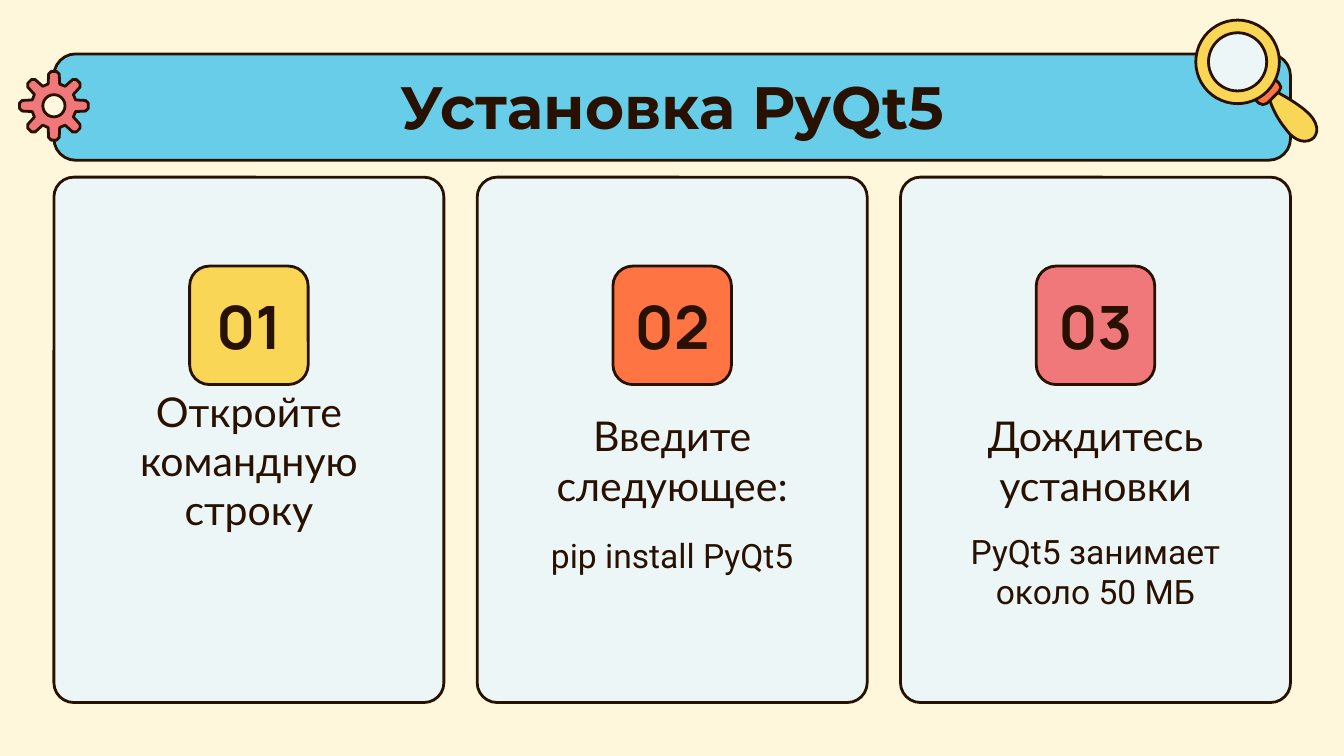
from math import cos, pi, sin

from lxml.etree import SubElement
from pptx import Presentation
from pptx.dml.color import RGBColor
from pptx.enum.shapes import MSO_SHAPE as Shape
from pptx.enum.text import MSO_ANCHOR as Anchor, MSO_AUTO_SIZE as AutoSize, PP_ALIGN as Align
from pptx.util import Cm, Pt

INK, CREAM, SKY, ICE = "281101", "FFF7DC", "68CDE9", "EDF6F7"
YELLOW, ORANGE, PINK = "F9D656", "FE7443", "F0787A"

FRAME = {"word_wrap": True, "auto_size": AutoSize.NONE,
         "margin_left": Cm(0.25), "margin_right": Cm(0.25),
         "margin_top": Cm(0.25), "margin_bottom": Cm(0.25)}
TITLE = {"name": "Montserrat", "size": Pt(32), "bold": True}
NUMBER = {"name": "Manrope", "size": Pt(32), "bold": True}
HEADING = {"name": "Lato", "size": Pt(22), "bold": False}
NOTE = {"name": "Roboto", "size": Pt(18), "bold": False}

STEPS = [  # number, badge colour, heading, heading width, note, note top
    ("01", YELLOW, "Откройте командную строку", 6.91, None, None),
    ("02", ORANGE, "Введите следующее:", 5.44, "pip install PyQt5", 6.12),
    ("03", PINK, "Дождитесь установки", 5.44, "PyQt5 занимает около 50 МБ", 6.43),
]

# Magnifier parts in cm from the icon corner; the handle is a chain of Bézier curves
COLLAR = [(1.5, 1.12), (1.12, 1.5), (1.19, 1.57), (1.27, 1.6),
          (1.35, 1.57), (1.57, 1.35), (1.61, 1.27), (1.57, 1.19)]
HANDLE_START = (1.55, 1.37)
HANDLE_CURVES = [
    [(1.4, 1.52), (1.47, 1.73), (1.57, 1.9), (1.7, 2.06)],
    [(1.7, 2.06), (1.83, 2.24), (1.96, 2.29), (2.06, 2.29)],
    [(2.06, 2.29), (2.31, 2.29), (2.41, 1.98), (2.06, 1.7)],
    [(2.06, 1.7), (1.9, 1.57), (1.73, 1.47), HANDLE_START],
]
# Gear tooth pointing outwards: (across, distance from centre) in cm
TOOTH = [(-0.11, 0.41), (-0.1, 0.6), (-0.05, 0.65),
         (0.05, 0.65), (0.1, 0.6), (0.11, 0.41)]


def colour(value):
    return RGBColor.from_string(value)


def apply(target, values):
    for key, value in values.items():
        setattr(target, key, value)


def paint(shape, fill):
    shape.shadow.inherit = False
    shape.fill.solid()
    shape.fill.fore_color.rgb = colour(fill)
    shape.line.color.rgb = colour(INK)
    shape.line.width = Pt(1.5)
    return shape


def add_panel(slide, kind, box, fill, corner=None):
    panel = paint(slide.shapes.add_shape(kind, *map(Cm, box)), fill)
    if corner is not None:
        panel.adjustments[0] = corner
    return panel


def add_outline(slide, left, top, points, fill):
    placed = [(Cm(left + x), Cm(top + y)) for x, y in points]
    builder = slide.shapes.build_freeform(*placed[0])
    builder.add_line_segments(placed[1:], close=True)
    return paint(builder.convert_to_shape(), fill)


def write(shape, text, font, anchor=Anchor.MIDDLE):
    frame = shape.text_frame
    apply(frame, {**FRAME, "vertical_anchor": anchor})
    paragraph = frame.paragraphs[0]
    paragraph.alignment = Align.CENTER
    run = paragraph.add_run()
    run.text = text
    apply(run.font, font)
    run.font.color.rgb = colour(INK)


def add_text(slide, box, text, font):
    write(slide.shapes.add_textbox(*map(Cm, box)), text, font)


def curve_points(curve, steps=10):
    for i in range(steps + 1):
        t = i / steps
        weights = ((1 - t) ** 3, 3 * t * (1 - t) ** 2, 3 * t * t * (1 - t), t ** 3)
        yield tuple(sum(w * p[axis] for w, p in zip(weights, curve)) for axis in (0, 1))


def add_header(slide, left, top, width, height):
    add_panel(slide, Shape.ROUNDED_RECTANGLE, (left, top, width, height), SKY, 0.204)
    title = slide.shapes.title
    slide.shapes.element.append(title.element)  # bring the title above the banner
    apply(title, {"left": Cm(left + 0.98), "top": Cm(top + 0.05),
                  "width": Cm(width - 1.96), "height": Cm(1.65)})
    write(title, "Установка PyQt5", TITLE, Anchor.TOP)


def add_magnifier(slide, left, top, lens):
    handle = [HANDLE_START] + [p for curve in HANDLE_CURVES for p in curve_points(curve)]
    add_outline(slide, left, top, handle, YELLOW)
    add_outline(slide, left, top, COLLAR, ORANGE)
    rim = 0.24
    for inset, fill in ((0, YELLOW), (rim, ICE)):
        size = lens - 2 * inset
        add_panel(slide, Shape.OVAL, (left + inset, top + inset, size, size), fill)


def add_gear(slide, left, top, size):
    teeth, half, hole = 8, size / 2, 0.42
    rim = []
    for i in range(teeth):
        angle = 2 * pi * i / teeth
        rim += [(half + x * cos(angle) + r * sin(angle),
                 half + x * sin(angle) - r * cos(angle)) for x, r in TOOTH]
    add_outline(slide, left, top, rim, PINK)
    offset = half - hole / 2
    add_panel(slide, Shape.OVAL, (left + offset, top + offset, hole, hole), CREAM)


def add_step(slide, left, top, width, height, step):
    number, fill, heading, heading_width, note, note_top = step
    add_panel(slide, Shape.ROUNDED_RECTANGLE, (left, top, width, height), ICE, 0.051)
    # Numbered badge
    side = 2.24
    badge = add_panel(slide, Shape.ROUNDED_RECTANGLE,
                      (left + (width - side) / 2, top + 1.68, side, side), fill, 0.167)
    write(badge, number, NUMBER)
    # Heading and note
    text_left = left + (width - heading_width) / 2
    add_text(slide, (text_left, top + 4.42, heading_width, 1.85), heading, HEADING)
    if note:
        add_text(slide, (text_left, top + note_top, heading_width, 2.03), note, NOTE)


def main():
    deck = Presentation()
    apply(deck, {"slide_width": Cm(25.4), "slide_height": Cm(14.29)})
    slide = deck.slides.add_slide(deck.slide_layouts[5])
    slide.background.fill.solid()
    slide.background.fill.fore_color.rgb = colour(CREAM)

    add_header(slide, 1.02, 1.02, 23.37, 2.01)
    add_magnifier(slide, 22.6, 0.38, 1.58)
    add_gear(slide, 0.37, 1.35, 1.3)
    for i, step in enumerate(STEPS):
        add_step(slide, 1.02 + 8 * i, 3.35, 7.37, 9.93, step)
    deck.save("out.pptx")


if __name__ == "__main__":
    main()
